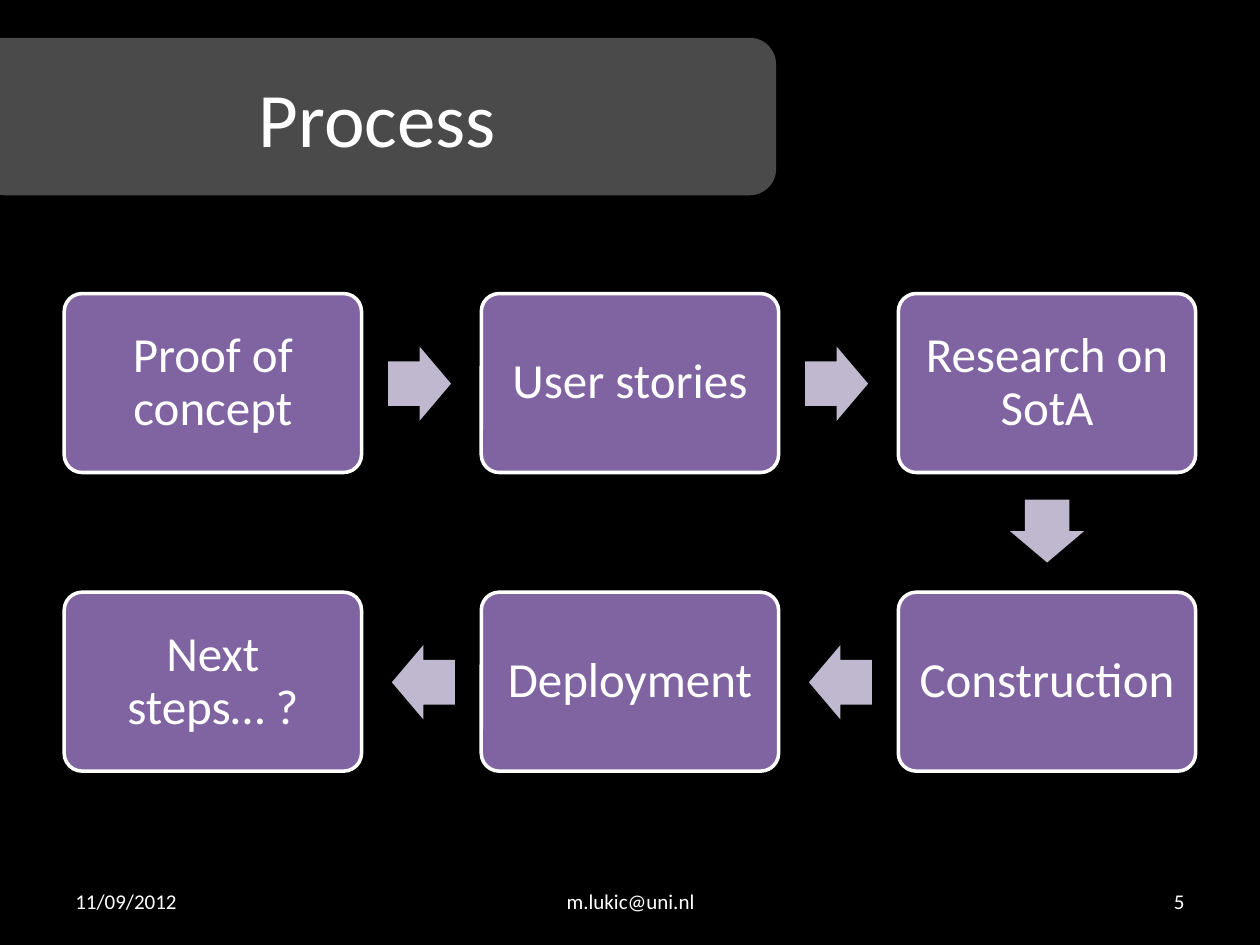
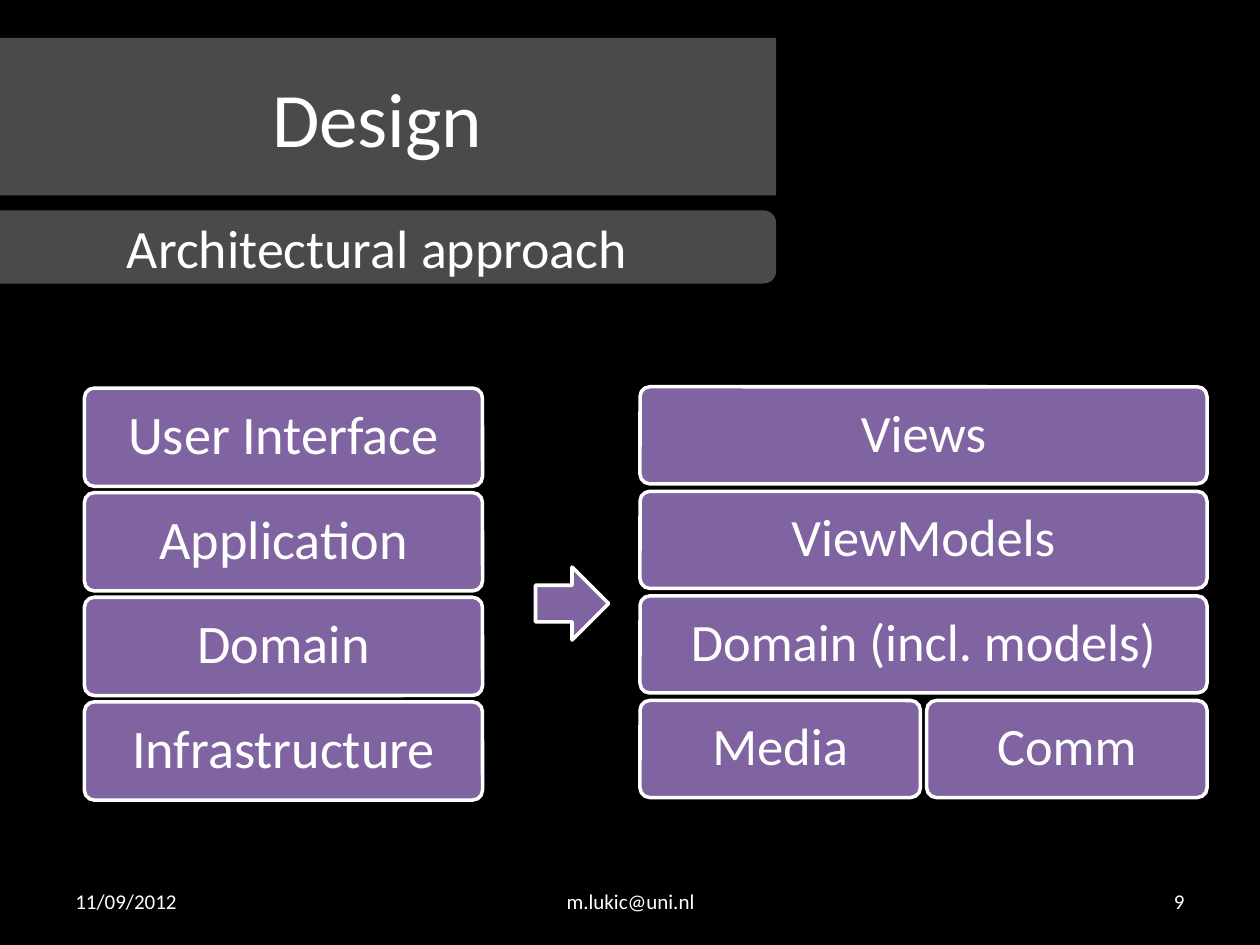
from pptx import Presentation
from pptx import util as u
from pptx.dml.color import RGBColor
from pptx.enum import shapes, text

BLACK, WHITE, GREY = "000000", "FFFFFF", "4A4A4A"
PURPLE, LILAC = "8064A2", "C0B8CE"
FONT = "Calibri"
LEFT, MID, RIGHT = text.PP_ALIGN.LEFT, text.PP_ALIGN.CENTER, text.PP_ALIGN.RIGHT
KIND = shapes.MSO_SHAPE


def paint(fill, color):
    fill.solid()
    fill.fore_color.rgb = RGBColor.from_string(color)


class Deck:
    def __init__(self):
        self.prs = Presentation()
        self.prs.slide_width, self.prs.slide_height = u.Inches(10), u.Inches(7.5)
        paint(self.prs.slide_master.background.fill, BLACK)
        self.slide = None

    def label(self, shape, words, size, align=MID, space=None):
        frame = shape.text_frame
        frame.text = words
        frame.word_wrap = True
        frame.auto_size = text.MSO_AUTO_SIZE.NONE
        frame.vertical_anchor = text.MSO_ANCHOR.MIDDLE
        frame.margin_left = frame.margin_right = u.Inches(0.1)
        frame.margin_top = frame.margin_bottom = u.Inches(0.05)
        para = frame.paragraphs[0]
        para.alignment = align
        para.line_spacing = space
        para.font.name = FONT
        para.font.size = u.Pt(size)
        para.font.color.rgb = RGBColor.from_string(WHITE)

    def shape(self, kind, place, color, edge=False, adjust=()):
        item = self.slide.shapes.add_shape(kind, *map(u.Inches, place))
        item.shadow.inherit = False
        paint(item.fill, color)
        if edge:
            paint(item.line.fill, WHITE)
            item.line.width = u.Pt(2)
        else:
            item.line.fill.background()
        for i, value in enumerate(adjust):
            item.adjustments[i] = value
        return item

    def band(self, top, height, kind=KIND.ROUNDED_RECTANGLE):
        return self.shape(kind, (-0.17, top, 6.33, height), GREY)

    def box(self, words, place, size):
        item = self.shape(KIND.ROUNDED_RECTANGLE, place, PURPLE, True, [0.1])
        self.label(item, words, size, space=0.9)

    def step(self, left, top, turn=0):
        """Draw a pale arrow to the next step."""
        item = self.shape(KIND.RIGHT_ARROW, (left, top, 0.5, 0.59), LILAC,
                          adjust=[0.6, 0.5])
        item.rotation = turn

    def page(self, words, number, kind):
        """Start a slide with its title band and footer."""
        self.slide = self.prs.slides.add_slide(self.prs.slide_layouts[5])
        band = self.band(0.3, 1.25, kind)
        title = self.slide.shapes.title
        title.left, title.top = band.left, band.top
        title.width, title.height = band.width, band.height
        band.element.addnext(title.element)
        self.label(title, words, 44)
        for note, left, width, align in (("11/09/2012", 0.5, 2.33, LEFT),
                                         ("m.lukic@uni.nl", 3.42, 3.17, MID),
                                         (str(number), 7.17, 2.33, RIGHT)):
            place = map(u.Inches, (left, 6.95, width, 0.4))
            self.label(self.slide.shapes.add_textbox(*place), note, 12, align)


def process(deck):
    deck.page("Process", 5, KIND.ROUNDED_RECTANGLE)
    left, top, across, down = 0.51, 2.33, 3.31, 2.37
    rows = (("Proof of concept", "User stories", "Research on SotA"),
            ("Next steps… ?", "Deployment", "Construction"))
    for r, row in enumerate(rows):
        for c, words in enumerate(row):
            deck.box(words, (left + c * across, top + r * down, 2.36, 1.42), 28)
    for c in range(2):
        deck.step(3.08 + c * across, 2.75)
        deck.step(3.11 + c * across, 2.75 + down, 180)
    deck.step(8.06, 3.92, 90)


def design(deck):
    deck.page("Design", 9, KIND.RECTANGLE)
    deck.label(deck.band(1.67, 0.58), "Architectural approach", 30.8)
    layers = ("User Interface", "Application", "Domain", "Infrastructure")
    for i, words in enumerate(layers):
        deck.box(words, (0.67, 3.08 + i * 0.83, 3.16, 0.78), 31)
    parts = (("Views",), ("ViewModels",), ("Domain (incl. models)",),
             ("Media", "Comm"))
    gap = 0.05
    for r, row in enumerate(parts):
        width = (4.5 + gap) / len(row) - gap
        for c, words in enumerate(row):
            place = (5.08 + c * (width + gap), 3.07 + r * 0.83, width, 0.77)
            deck.box(words, place, 30)
    deck.shape(KIND.RIGHT_ARROW, (4.25, 4.5, 0.58, 0.58), PURPLE, True)


def main():
    deck = Deck()
    process(deck)
    design(deck)
    deck.prs.save("out.pptx")


if __name__ == "__main__":
    main()
